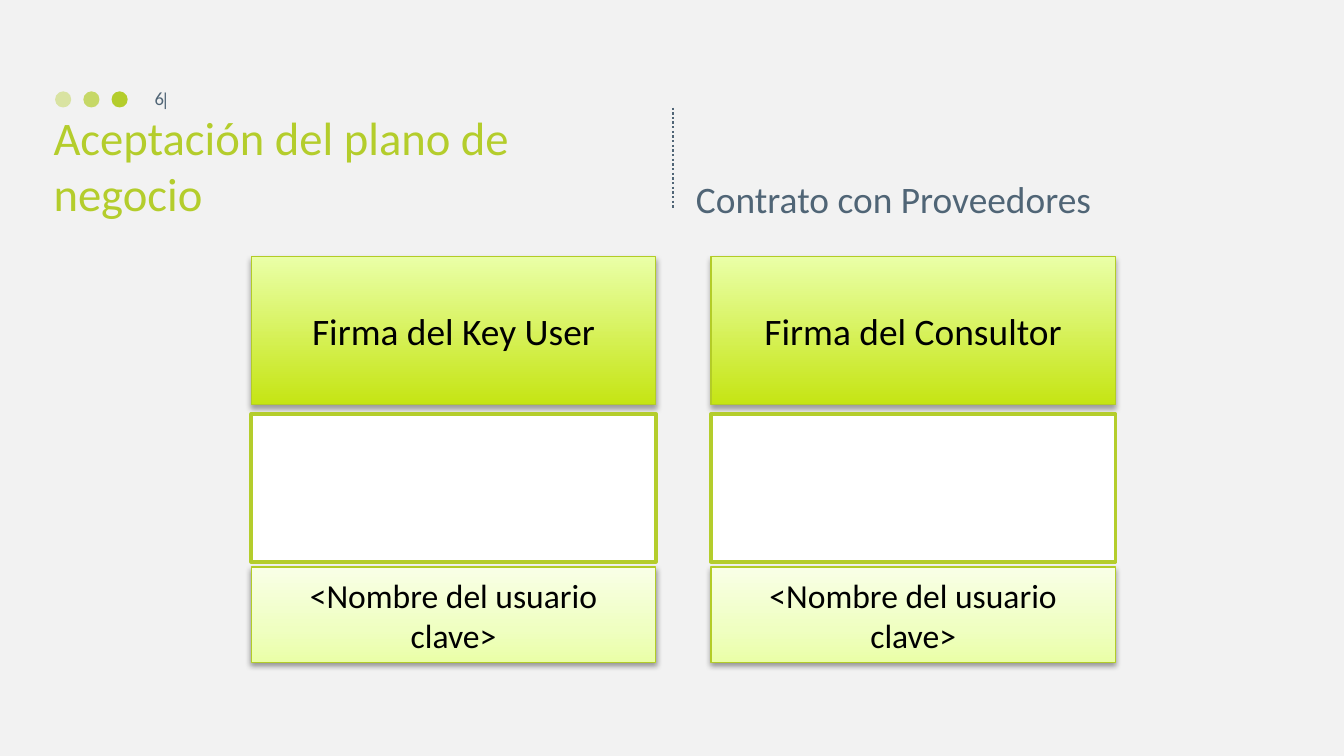
from lxml.etree import SubElement
from pptx import Presentation
from pptx.dml.color import RGBColor
from pptx.enum.shapes import MSO_CONNECTOR as Connector, MSO_SHAPE as Shape
from pptx.enum.text import MSO_ANCHOR as Anchor, PP_ALIGN as Align
from pptx.oxml.ns import qn
from pptx.util import Inches, Pt

GREEN, SLATE, BLACK, WHITE = "B4CD2C", "506576", "000000", "FFFFFF"
EDGE, BACKGROUND = "B3CC27", "F2F2F2"
FONT = "Calibri"

TITLE = "Aceptación del plano de negocio"
SUBTITLE = "Contrato con Proveedores"
PAGE_NUMBER = "6"
SIGNERS = [
    ("Firma del Key User", "<Nombre del usuario clave>"),
    ("Firma del Consultor", "<Nombre del usuario clave>"),
]
DOT_OPACITIES = [40, 70, 100]

HEADER_STOPS = [(0, "C5E514"), (100, "EAFFA7")]
NAME_STOPS = [(0, "EAFFA7"), (35, "EFFFC1"), (100, "F9FFE7")]
HEADER_SHADOW = (35, 1.8)
NAME_SHADOW = (38, 1.6)

SLIDE_WIDTH = 10
SLIDE_HEIGHT = SLIDE_WIDTH * 9 / 16
COLUMN_LEFT, COLUMN_WIDTH, COLUMN_STEP = 1.87, 3.01, 3.42
HEADER_ROW, SIGN_ROW, NAME_ROW = (1.91, 1.1), (3.08, 1.1), (4.22, 0.71)
DOT_LEFT, DOT_TOP, DOT_SIZE, DOT_STEP = 0.41, 0.68, 0.12, 0.21


def color(value):
    return RGBColor.from_string(value)


def write(box, text, size, ink, align=Align.LEFT, anchor=Anchor.MIDDLE):
    frame = box.text_frame
    frame.word_wrap = True
    frame.vertical_anchor = anchor
    para = frame.paragraphs[0]
    para.alignment = align
    span = para.add_run()
    span.text = text
    span.font.name = FONT
    span.font.size = Pt(size)
    span.font.color.rgb = color(ink)


def add_text(page, area, *args, **kwargs):
    box = page.shapes.add_textbox(*map(Inches, area))
    write(box, *args, **kwargs)
    return box


def add_filled(page, kind, area, fill=None, line=None, width=0):
    shape = page.shapes.add_shape(kind, *map(Inches, area))
    shape.shadow.inherit = False
    if fill:
        shape.fill.solid()
        shape.fill.fore_color.rgb = color(fill)
    if line:
        shape.line.color.rgb = color(line)
        shape.line.width = Pt(width)
    else:
        shape.line.fill.background()
    return shape


def add_color(parent, value, opacity=100):
    node = SubElement(parent, qn("a:srgbClr"), val=value)
    if opacity < 100:
        SubElement(node, qn("a:alpha"), val=str(opacity * 1000))


def add_card(page, area, stops, shadow, text, size):
    card = add_filled(page, Shape.RECTANGLE, area, line=EDGE, width=0.75)
    card.fill.gradient()
    card.fill.gradient_angle = 90
    properties = card._element.spPr
    stop_list = properties.find(qn("a:gradFill")).find(qn("a:gsLst"))
    for stop in list(stop_list):
        stop_list.remove(stop)
    for position, value in stops:
        add_color(SubElement(stop_list, qn("a:gs"), pos=str(position * 1000)), value)
    opacity, distance = shadow
    outer = SubElement(
        properties.find(qn("a:effectLst")), qn("a:outerShdw"),
        blurRad=str(Pt(3.1)), dist=str(Pt(distance)), dir="5400000", rotWithShape="0")
    add_color(outer, BLACK, opacity)
    write(card, text, size, BLACK, Align.CENTER)


def add_heading(page):
    for index, opacity in enumerate(DOT_OPACITIES):
        area = (DOT_LEFT + index * DOT_STEP, DOT_TOP, DOT_SIZE, DOT_SIZE)
        dot = add_filled(page, Shape.OVAL, area, GREEN)
        if opacity < 100:
            solid = dot._element.spPr.find(qn("a:solidFill"))
            SubElement(solid[0], qn("a:alpha"), val=str(opacity * 1000))

    divider = page.shapes.add_connector(
        Connector.STRAIGHT, *map(Inches, (5.01, 0.8, 5.01, 1.55)))
    divider.line.color.rgb = color(SLATE)
    divider.line.width = Pt(1.25)
    properties = divider._element.spPr
    SubElement(properties.find(qn("a:ln")), qn("a:prstDash"), val="sysDot")
    SubElement(properties, qn("a:effectLst"))

    bar = add_text(page, (1.2, 0.66, 0.06, 0.15), "|", 10, SLATE, Align.CENTER)
    frame = bar.text_frame
    frame.word_wrap = False
    frame.margin_left = frame.margin_right = frame.margin_top = frame.margin_bottom = 0
    add_text(page, (0.86, 0.58, 0.46, 0.3), PAGE_NUMBER, 10, SLATE, Align.RIGHT)
    add_text(page, (0.3, 0.75, 4.59, 0.94), TITLE, 25, GREEN, anchor=Anchor.BOTTOM)
    add_text(page, (5.08, 0.75, 4.42, 0.94), SUBTITLE, 20, SLATE, anchor=Anchor.BOTTOM)


def add_signers(page):
    for index, (role, name) in enumerate(SIGNERS):
        left = COLUMN_LEFT + index * COLUMN_STEP
        header, sign, label = [
            (left, top, COLUMN_WIDTH, height)
            for top, height in (HEADER_ROW, SIGN_ROW, NAME_ROW)]
        add_card(page, header, HEADER_STOPS, HEADER_SHADOW, role, 20)
        add_filled(page, Shape.RECTANGLE, sign, WHITE, GREEN, 2)
        add_card(page, label, NAME_STOPS, NAME_SHADOW, name, 18)


def main():
    deck = Presentation()
    deck.slide_width, deck.slide_height = Inches(SLIDE_WIDTH), Inches(SLIDE_HEIGHT)
    page = deck.slides.add_slide(deck.slide_layouts[6])
    page.background.fill.solid()
    page.background.fill.fore_color.rgb = color(BACKGROUND)
    add_heading(page)
    add_signers(page)
    deck.save("out.pptx")


if __name__ == "__main__":
    main()
